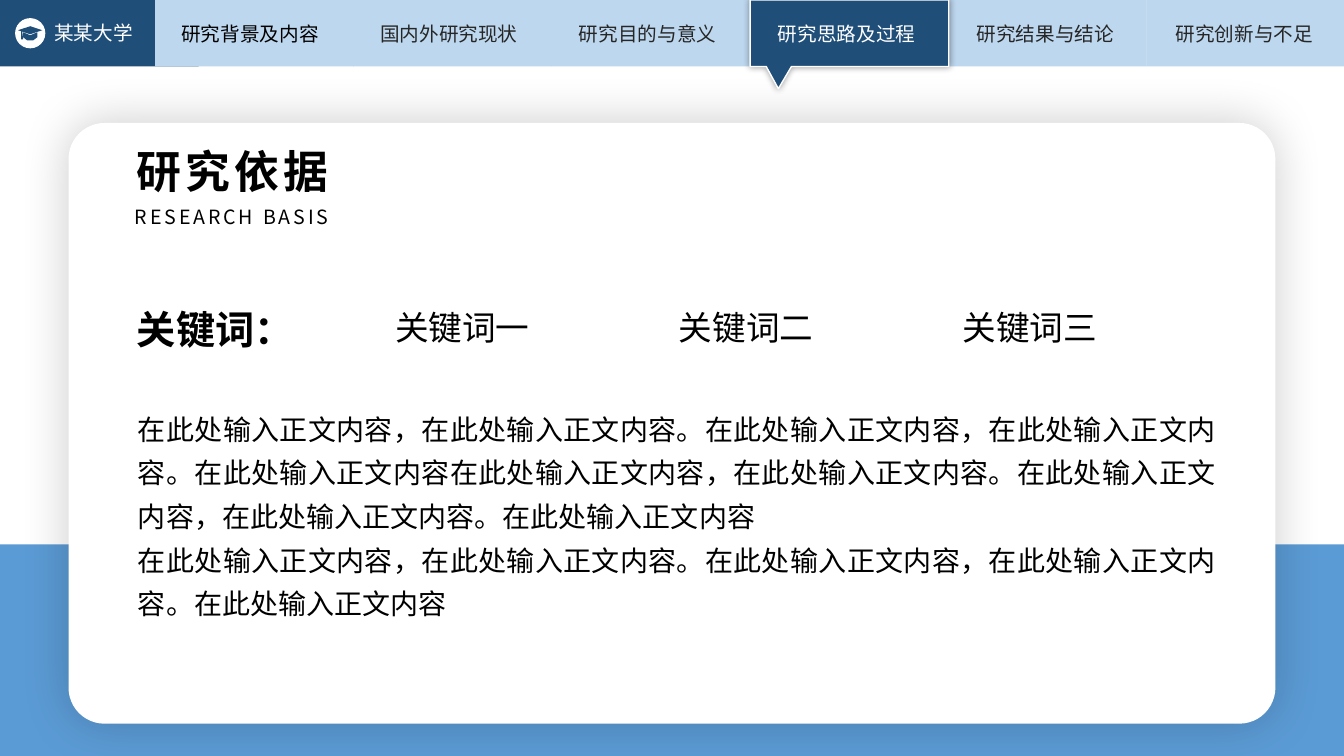
from dataclasses import dataclass

from lxml.etree import SubElement
from pptx import Presentation
from pptx.dml.color import RGBColor
from pptx.enum.shapes import MSO_SHAPE as SHAPE
from pptx.enum.text import MSO_AUTO_SIZE as FIT, PP_ALIGN as ALIGN
from pptx.oxml.ns import qn
from pptx.util import Inches, Pt


@dataclass(frozen=True)
class Theme:
    font: str = "Noto Sans CJK SC"
    navy: str = "1F4E79"
    pale: str = "BDD7EE"
    blue: str = "5B9BD5"
    white: str = "FFFFFF"
    black: str = "000000"
    grey: str = "262626"
    small: int = 14
    body: int = 20
    keyword: int = 24
    label: int = 28
    title: int = 32


theme = Theme()


def paint(sp, fill, shadow=None):
    """Fill a shape without a line; shadow is (opacity %, blur in points)."""
    sp.shadow.inherit = False
    sp.fill.solid()
    sp.fill.fore_color.rgb = RGBColor.from_string(fill)
    sp.line.fill.background()
    if shadow:
        opacity, blur = shadow
        effects = sp._element.spPr.find(qn("a:effectLst"))
        outer = SubElement(effects, qn("a:outerShdw"), blurRad=str(Pt(blur)),
                           dist="0", dir="0", algn="ctr", rotWithShape="0")
        clr = SubElement(outer, qn("a:srgbClr"), val=theme.black)
        SubElement(clr, qn("a:alpha"), val=str(opacity * 1000))
    return sp


def add_text(box, paragraphs, size, color=theme.black, bold=False, wrap=True,
             align=ALIGN.LEFT, leading=None, tracking=0):
    tf = s.shapes.add_textbox(*map(Inches, box)).text_frame
    tf.word_wrap = wrap
    tf.auto_size = FIT.SHAPE_TO_FIT_TEXT
    for i, text in enumerate(paragraphs):
        p = tf.add_paragraph() if i else tf.paragraphs[0]
        p.alignment = align
        p.line_spacing = leading
        r = p.add_run()
        r.text = text
        r.font.size = Pt(size)
        r.font.bold = bold
        r.font.name = theme.font
        r.font.color.rgb = RGBColor.from_string(color)
        rPr = r.font._element
        SubElement(rPr, qn("a:ea"), typeface=theme.font)
        if tracking:
            rPr.set("spc", str(tracking * 100))


prs = Presentation()
prs.slide_width, prs.slide_height = Inches(13.33), Inches(7.5)
s = prs.slides.add_slide(prs.slide_layouts[6])

# Navigation bar
tabs = ["研究背景及内容", "国内外研究现状", "研究目的与意义",
        "研究思路及过程", "研究结果与结论", "研究创新与不足"]
active = 3
tab_left, tab_w, tab_h = 1.54, 1.97, 0.66
paint(s.shapes.add_shape(SHAPE.RECTANGLE, 0, 0, Inches(tab_w), Inches(tab_h)), theme.navy)
for i in range(len(tabs)):
    paint(s.shapes.add_shape(SHAPE.RECTANGLE, Inches(tab_left + i * 1.966), 0,
                             Inches(tab_w), Inches(tab_h)), theme.pale)

# Active tab with its pointer
outline = [(7.44, 0), (9.41, 0), (9.41, 0.66), (7.85, 0.66),
           (7.72, 0.88), (7.6, 0.66), (7.44, 0.66)]
points = [(Inches(x), Inches(y)) for x, y in outline]
fb = s.shapes.build_freeform(*points[0])
fb.add_line_segments(points[1:])
marker = paint(fb.convert_to_shape(), theme.navy, shadow=(40, 5))
marker.line.color.rgb = RGBColor.from_string(theme.white)
marker.line.width = Pt(1)

# Tab labels
for i, tab in enumerate(tabs):
    color = {0: theme.black, active: theme.white}.get(i, theme.grey)
    add_text((1.7 + i * 1.972, 0.17, 1.58, 0.34), [tab], theme.small, color, wrap=False)

# University badge: graduation cap on a disc
paint(s.shapes.add_shape(SHAPE.OVAL, Inches(0.15), Inches(0.18),
                         Inches(0.3), Inches(0.3)), theme.white)
cap_parts = [
    [(0.18, 0.3), (0.3, 0.26), (0.42, 0.3), (0.3, 0.34)],
    [(0.23, 0.32), (0.3, 0.35), (0.37, 0.32), (0.37, 0.37), (0.33, 0.4),
     (0.27, 0.4), (0.23, 0.37)],
    [(0.21, 0.31), (0.22, 0.31), (0.23, 0.39), (0.21, 0.39)],
]
for part in cap_parts:
    points = [(Inches(x), Inches(y)) for x, y in part]
    fb = s.shapes.build_freeform(*points[0])
    fb.add_line_segments(points[1:])
    paint(fb.convert_to_shape(), theme.navy)
add_text((0.44, 0.16, 0.99, 0.34), ["某某大学"], theme.small, theme.white, wrap=False)

# Lower band and content card
paint(s.shapes.add_shape(SHAPE.RECTANGLE, 0, Inches(5.4), prs.slide_width, Inches(2.1)),
      theme.blue)
card = s.shapes.add_shape(SHAPE.ROUNDED_RECTANGLE, Inches(0.68), Inches(1.22),
                          Inches(11.97), Inches(5.96))
card.adjustments[0] = 0.06
paint(card, theme.white, shadow=(20, 35))

# Heading
add_text((1.26, 1.38, 2.54, 0.64), ["研究依据"], theme.title, bold=True, tracking=3)
add_text((1.24, 1.98, 2.16, 0.57), ["RESEARCH BASIS"], theme.small,
         align=ALIGN.JUSTIFY, tracking=2)

# Keywords
add_text((1.26, 2.75, 1.82, 0.74), ["关键词："], theme.label, bold=True, leading=1.5)
for i, keyword in enumerate(["关键词一", "关键词二", "关键词三"]):
    add_text((3.82 + i * 2.815, 2.8, 1.62, 0.65), [keyword], theme.keyword, leading=1.5)

# Body text
body = [
    "在此处输入正文内容，在此处输入正文内容。在此处输入正文内容，在此处输入正文内容。"
    "在此处输入正文内容在此处输入正文内容，在此处输入正文内容。"
    "在此处输入正文内容，在此处输入正文内容。在此处输入正文内容",
    "在此处输入正文内容，在此处输入正文内容。在此处输入正文内容，在此处输入正文内容。"
    "在此处输入正文内容",
]
add_text((1.27, 3.94, 10.89, 2.25), body, theme.body, align=ALIGN.JUSTIFY, leading=1.3)

prs.save("out.pptx")
